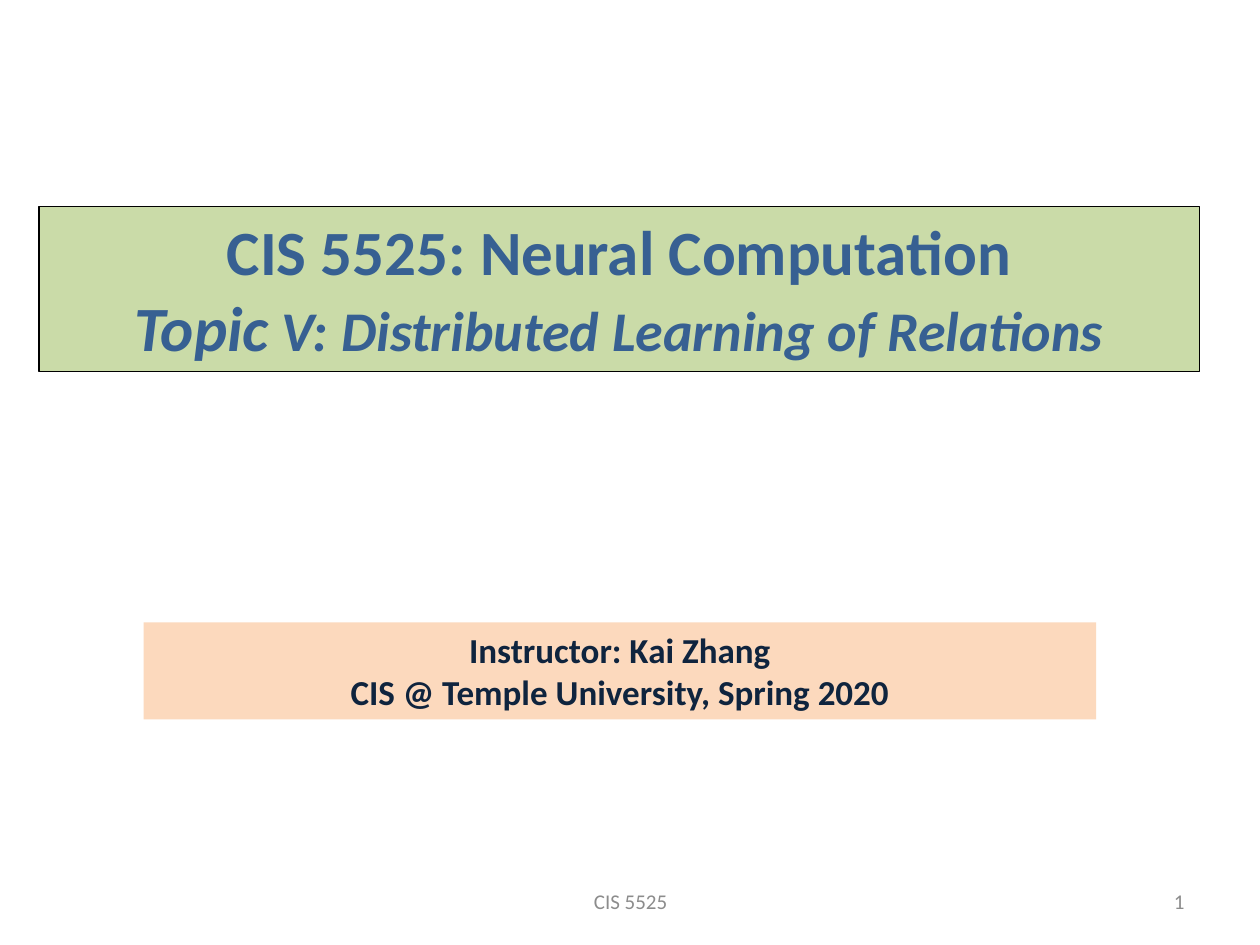
from lxml.etree import SubElement
from pptx import Presentation
from pptx.dml.color import RGBColor
from pptx.enum.text import MSO_ANCHOR, MSO_AUTO_SIZE, PP_ALIGN
from pptx.oxml.ns import qn
from pptx.util import Inches, Pt

COLORS = {
    "title_fill": "9BBB59",
    "title_text": "376092",
    "title_line": "000000",
    "instructor_fill": "FAC090",
    "instructor_text": "0F243E",
    "footer_text": "8C8C8C",
}


def place(shape, left, top, width, height):
    """Move and size a shape, in inches."""
    shape.left, shape.top = Inches(left), Inches(top)
    shape.width, shape.height = Inches(width), Inches(height)


def fill_translucent(shape, color, opacity):
    """Fill a shape with a colour at an opacity in percent."""
    shape.fill.solid()
    shape.fill.fore_color.rgb = RGBColor.from_string(COLORS[color])
    color_element = shape.fill._xPr.find(qn("a:solidFill"))[0]
    SubElement(color_element, qn("a:alpha"), val=str(opacity * 1000))


def write_lines(shape, lines, color, alignment, anchor, bold=False):
    """Write lines of (text, size, italic) runs into a shape."""
    frame = shape.text_frame
    frame.word_wrap = True
    frame.auto_size = MSO_AUTO_SIZE.NONE
    frame.vertical_anchor = anchor
    for index, runs in enumerate(lines):
        paragraph = frame.add_paragraph() if index else frame.paragraphs[0]
        paragraph.alignment = alignment
        paragraph.space_before = Pt(0)
        for text, size, italic in runs:
            run = paragraph.add_run()
            run.text = text
            run.font.name = "Calibri"
            run.font.size = Pt(size)
            run.font.bold = bold
            run.font.italic = italic
            run.font.color.rgb = RGBColor.from_string(COLORS[color])


def add_title(slide):
    """Format the title placeholder as the course banner."""
    title = slide.shapes.title
    place(title, 0.31, 1.64, 9.21, 1.31)
    fill_translucent(title, "title_fill", 52)
    title.line.color.rgb = RGBColor.from_string(COLORS["title_line"])
    title.line.width = Pt(0.75)
    lines = [
        [("CIS 5525: Neural Computation", 36, False)],
        [("Topic", 36, True), (" V: Distributed Learning of Relations", 32, True)],
    ]
    write_lines(title, lines, "title_text", PP_ALIGN.CENTER, MSO_ANCHOR.TOP, bold=True)


def add_instructor(slide):
    """Format the subtitle placeholder as the instructor banner."""
    subtitle = slide.placeholders[1]
    place(subtitle, 1.14, 4.94, 7.56, 0.77)
    fill_translucent(subtitle, "instructor_fill", 59)
    lines = [
        [("Instructor: Kai Zhang", 20, False)],
        [("CIS @ Temple University, Spring 2020", 20, False)],
    ]
    write_lines(subtitle, lines, "instructor_text", PP_ALIGN.CENTER, MSO_ANCHOR.TOP, bold=True)


def add_footer(slide, text, left, width, alignment):
    """Add one text box to the footer row."""
    box = slide.shapes.add_textbox(Inches(left), Inches(6.95), Inches(width), Inches(0.4))
    write_lines(box, [[(text, 12, False)]], "footer_text", alignment, MSO_ANCHOR.MIDDLE)


def main():
    """Build the title slide and save it."""
    presentation = Presentation()
    presentation.slide_width, presentation.slide_height = Inches(10), Inches(7.5)
    slide = presentation.slides.add_slide(presentation.slide_layouts[0])
    add_title(slide)
    add_instructor(slide)
    add_footer(slide, "CIS 5525", 3.42, 3.17, PP_ALIGN.CENTER)
    add_footer(slide, "1", 7.17, 2.33, PP_ALIGN.RIGHT)
    presentation.save("out.pptx")


if __name__ == "__main__":
    main()
